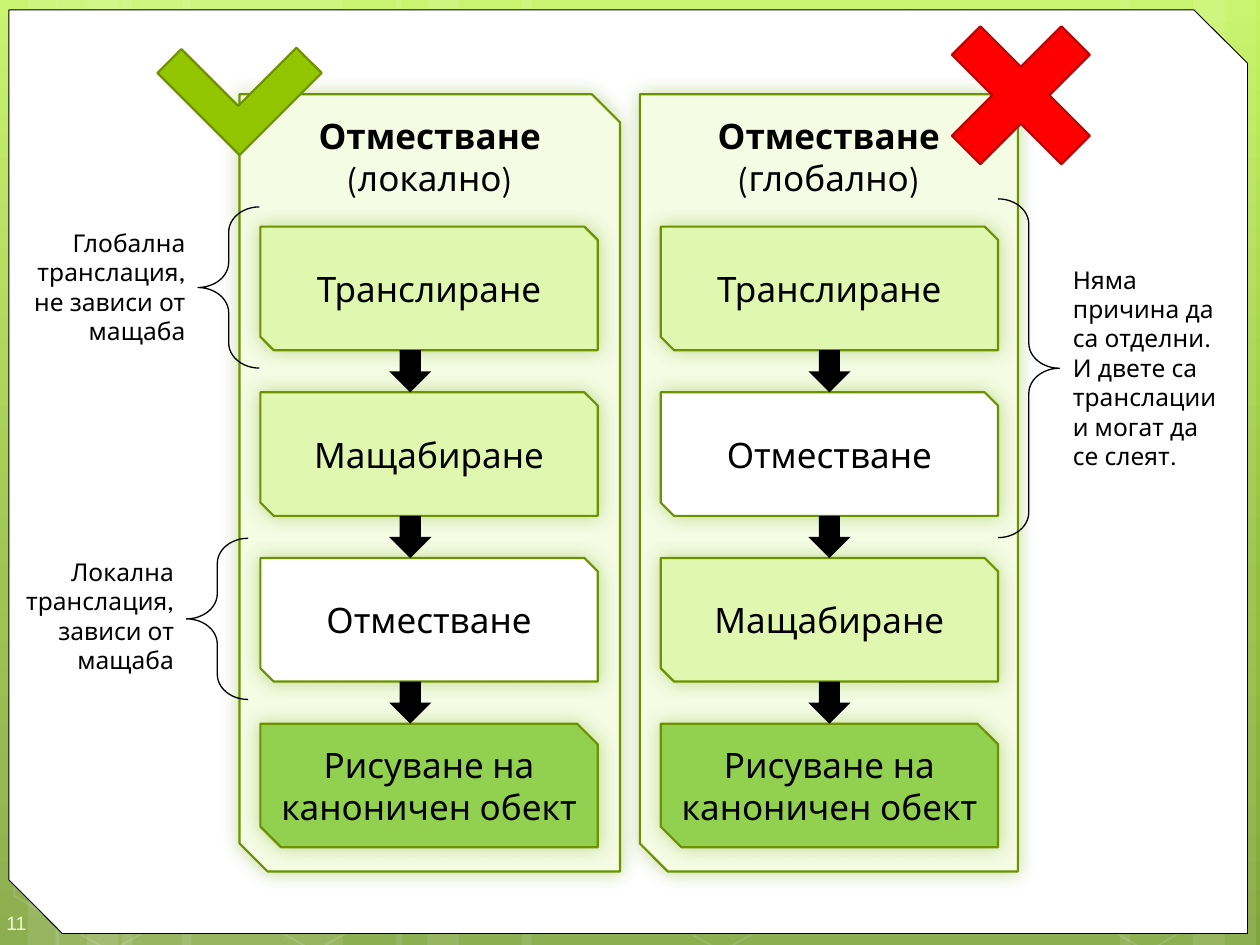
from copy import deepcopy

from lxml.etree import SubElement
from pptx import Presentation
from pptx.dml.color import RGBColor
from pptx.enum.shapes import MSO_SHAPE as Shape
from pptx.enum.text import MSO_ANCHOR as Anchor, MSO_AUTO_SIZE as AutoSize, PP_ALIGN as Align
from pptx.oxml.ns import qn
from pptx.util import Cm, Pt

WHITE = RGBColor(0xFF, 0xFF, 0xFF)
BLACK = RGBColor(0x00, 0x00, 0x00)
PANEL = RGBColor(0xF4, 0xFC, 0xE4)
STEP = RGBColor(0xDF, 0xF7, 0xAE)
DRAWING = RGBColor(0x92, 0xD0, 0x50)
OUTLINE = RGBColor(0x6D, 0x92, 0x00)
GLOW = RGBColor(0x74, 0xA5, 0x10)
CHECK = RGBColor(0x94, 0xC6, 0x00)
CROSS = RGBColor(0xFF, 0x00, 0x00)
CROSS_EDGE = RGBColor(0xC0, 0x00, 0x00)
NUMBER = RGBColor(0xEE, 0xFF, 0xD6)
BACKDROP = [(0, RGBColor(0xC3, 0xF3, 0x5F)), (0.62, RGBColor(0x93, 0xBF, 0x3F)),
            (1, RGBColor(0x81, 0xA5, 0x3E))]
FONT = "League Spartan"
PAGE_W, PAGE_H = 25.4, 19.05

# Backdrop bands (left, width) and hexagon lefts, in cm
BANDS = [(2.46, 4.45), (0, 1.19), (0.56, 2.11), (3.66, 4.45), (1.12, 1.27), (1.75, 2.11),
         (18.34, 4.45), (24.05, 1.27), (22.58, 2.11), (10.52, 7.82), (7.98, 1.27),
         (8.61, 2.11)]
HEXAGONS = [0, 4.11, 12.32, 20.9]

MOVE = ("Транслиране", STEP)
SCALE = ("Мащабиране", STEP)
OFFSET = ("Отместване", WHITE)
DRAW = ("Рисуване на каноничен обект", DRAWING)
COLUMNS = [
    {"left": 4.83, "width": 7.67, "arrow_center": 8.27, "kind": "(локално)",
     "steps": [MOVE, SCALE, OFFSET, DRAW]},
    {"left": 12.9, "width": 7.62, "arrow_center": 16.72, "kind": "(глобално)",
     "steps": [MOVE, OFFSET, SCALE, DRAW]},
]
# Brace box, its rotation, note box, note alignment, note paragraphs
NOTES = [
    ((20.12, 4.01, 1.24, 6.83), 0, (21.38, 5.21, 3.61, 4.45), Align.LEFT,
     ["Няма причина да са отделни.", "И двете са транслации и могат да се слеят."]),
    ((3.99, 4.17, 1.24, 3.25), 180, (0.38, 4.47, 3.61, 2.64), Align.RIGHT,
     ["Глобална транслация, не зависи от мащаба"]),
    ((3.76, 10.85, 1.24, 3.25), 180, (0.15, 11.1, 3.61, 2.64), Align.RIGHT,
     ["Локална транслация, зависи от мащаба"]),
]

PANEL_TOP, PANEL_H = 1.9, 15.67
STEP_TOP, STEP_W, STEP_H, STEP_GAP, STEP_INDENT = 4.57, 6.8, 2.49, 0.85, 0.42
STEP_FRAME = {"margin_left": 0, "margin_right": 0, "word_wrap": True}


def assign(target, values):
    for name, value in values.items():
        setattr(target, name, value)


def set_alpha(properties, percent):
    for color in properties.iter(qn("a:srgbClr")):
        SubElement(color, qn("a:alpha"), val=str(percent * 1000))


def add_figure(kind, box, fill=None, edge=None, edge_width=1.25, adjust=(), rotation=0):
    figure = slide.shapes.add_shape(kind, *map(Cm, box))
    figure.shadow.inherit = False
    figure.rotation = rotation
    for index, value in enumerate(adjust):
        figure.adjustments[index] = value
    for paint, color in ((figure.fill, fill), (figure.line.fill, edge)):
        if color is None:
            paint.background()
        else:
            paint.solid()
            paint.fore_color.rgb = color
    if edge is not None:
        figure.line.width = Pt(edge_width)
    return figure


def add_glow(figure):
    effects = figure._element.spPr.find(qn("a:effectLst"))
    glow = SubElement(effects, qn("a:outerShdw"), blurRad=str(Pt(10)), dist="0",
                      dir="2700000", algn="ctr", rotWithShape="0")
    SubElement(glow, qn("a:srgbClr"), val=str(GLOW))
    set_alpha(glow, 40)


def add_run(paragraph, text, size, color=BLACK, name=FONT, bold=False):
    run = paragraph.add_run()
    run.text = text
    assign(run.font, {"size": Pt(size), "name": name, "bold": bold})
    run.font.color.rgb = color


def add_card(box, fill, adjust, anchor):
    """Add a glowing snipped box and return its first paragraph."""
    card = add_figure(Shape.SNIP_2_DIAG_RECTANGLE, box, fill, OUTLINE, adjust=adjust)
    add_glow(card)
    assign(card.text_frame, {**STEP_FRAME, "vertical_anchor": anchor})
    heading = card.text_frame.paragraphs[0]
    heading.alignment = Align.CENTER
    return heading


def add_backdrop():
    paint = slide.background.fill
    paint.gradient()
    paint.gradient_angle = 270
    stops = next(slide._element.iter(qn("a:gsLst")))
    stops.append(deepcopy(stops[0]))
    for stop, (position, color) in zip(paint.gradient_stops, BACKDROP):
        stop.position = position
        stop.color.rgb = color
    for left, width in BANDS:
        band = add_figure(Shape.RECTANGLE, (left, 0, width, PAGE_H), WHITE)
        set_alpha(band._element.spPr, 10)
    for left in HEXAGONS:
        hexagon = add_figure(Shape.HEXAGON, (left, 15.02, 4.45, 3.86), edge=WHITE,
                             edge_width=1, adjust=[0.285], rotation=30)
        set_alpha(hexagon._element.spPr, 12)
    add_figure(Shape.SNIP_2_DIAG_RECTANGLE, (0.18, 0.2, 24.97, 18.62), WHITE, BLACK, 0.5,
               [0, 0.058])


def add_page_number():
    number = slide.shapes.add_textbox(Cm(0), Cm(18.03), Cm(1.48), Cm(1.02)).text_frame
    assign(number, {"margin_left": Cm(0.13), "margin_top": Cm(0.38), "margin_right": 0,
                    "margin_bottom": Cm(0.25), "vertical_anchor": Anchor.MIDDLE,
                    "word_wrap": True})
    add_run(number.paragraphs[0], "11", 11, NUMBER, "Arial")


def add_column(column):
    heading = add_card((column["left"], PANEL_TOP, column["width"], PANEL_H), PANEL,
                       [0, 0.074], Anchor.TOP)
    add_run(heading, "Отместване", 20, bold=True)
    heading.add_line_break()
    add_run(heading, column["kind"], 20)
    for index, (label, fill) in enumerate(column["steps"]):
        top = STEP_TOP + index * (STEP_H + STEP_GAP)
        snip = 0.167 if fill == DRAWING else 0.108
        step = add_card((column["left"] + STEP_INDENT, top, STEP_W, STEP_H), fill,
                        [0, snip], Anchor.MIDDLE)
        add_run(step, label, 20)
        if index:
            add_figure(Shape.RIGHT_ARROW,
                       (column["arrow_center"] - STEP_GAP / 2, top - STEP_GAP,
                        STEP_GAP, STEP_GAP), BLACK, rotation=90)


def add_note(brace, rotation, box, alignment, lines):
    add_figure(Shape.RIGHT_BRACE, brace, edge=BLACK, edge_width=0.75,
               adjust=[0.41, 0.5], rotation=rotation)
    note = slide.shapes.add_textbox(*map(Cm, box)).text_frame
    assign(note, {"word_wrap": True, "auto_size": AutoSize.SHAPE_TO_FIT_TEXT})
    for index, line in enumerate(lines):
        paragraph = note.add_paragraph() if index else note.paragraphs[0]
        paragraph.alignment = alignment
        add_run(paragraph, line, 14)


deck = Presentation()
assign(deck, {"slide_width": Cm(PAGE_W), "slide_height": Cm(PAGE_H)})
slide = deck.slides.add_slide(deck.slide_layouts[6])

add_backdrop()
add_page_number()
for column in COLUMNS:
    add_column(column)
for note in NOTES:
    add_note(*note)
add_figure(Shape.CORNER, (3.66, 0.3, 2.34, 2.34), CHECK, OUTLINE,
           adjust=[0.307, 0.291], rotation=315)
add_figure(Shape.CROSS, (19.02, 0.36, 3.12, 3.12), CROSS, CROSS_EDGE,
           adjust=[0.37], rotation=315)

deck.save("out.pptx")
